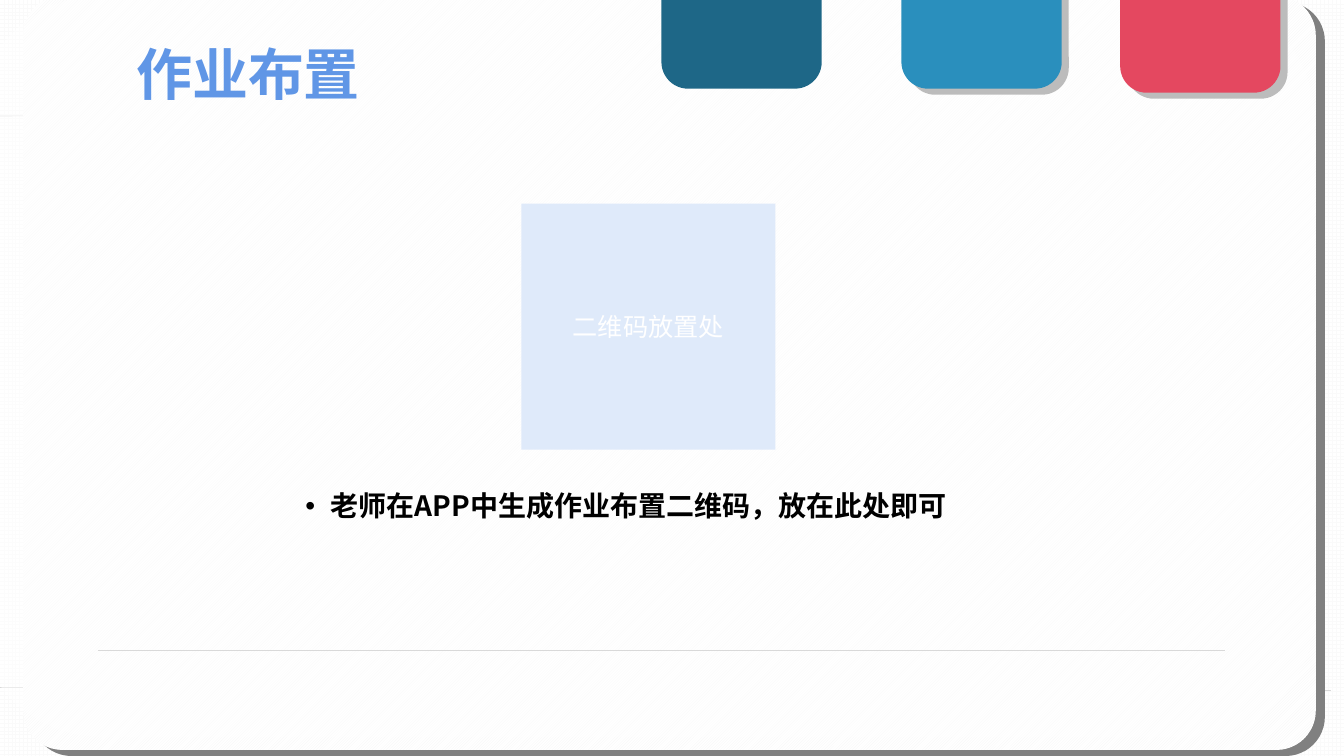
"""Build the homework assignment slide."""
from lxml.etree import SubElement
from pptx import Presentation
from pptx.dml.color import RGBColor
from pptx.enum.dml import MSO_PATTERN
from pptx.enum.shapes import MSO_CONNECTOR, MSO_SHAPE
from pptx.enum.text import MSO_ANCHOR, PP_ALIGN
from pptx.oxml.ns import qn
from pptx.util import Inches, Pt

FONT = "Noto Sans CJK SC"
HUES = {
    "white": "FFFFFF", "grid": "FAFAFA", "hatch": "F4F4F4", "rule": "D9D9D9",
    "edge": "808080", "shade": "BCBCBC", "teal": "1E6787", "blue": "2A8FBD",
    "red": "E44860", "pale": "DFEAFA", "title": "6096E6", "black": "000000",
}
TITLE = "作业布置"
HINT = "老师在APP中生成作业布置二维码，放在此处即可"
CODE = "二维码放置处"
BACK_RULES = [(0, 1.15, 4.53, 1.14), (0, 6.82, 13.2, 6.85)]
FOOT_RULE = (0.97, 6.45, 12.15, 6.45)
TABS = [(6.56, -0.87, "teal", False), (8.94, -0.87, "blue", True),
        (11.11, -0.83, "red", True)]
TAB_W, TAB_H = 1.59, 1.75


def rgb(hue):
    return RGBColor.from_string(HUES[hue])


def hatch(fill, kind, hue):
    fill.patterned()
    fill.pattern = kind
    fill.fore_color.rgb = rgb(hue)
    fill.back_color.rgb = rgb("white")


def block(slide, box, hue, kind=MSO_SHAPE.ROUNDED_RECTANGLE, adj=None):
    shape = slide.shapes.add_shape(kind, *map(Inches, box))
    shape.shadow.inherit = False
    shape.fill.solid()
    shape.fill.fore_color.rgb = rgb(hue)
    shape.line.fill.background()
    if adj is not None:
        shape.adjustments[0] = adj
    return shape


def rule(slide, ends):
    line = slide.shapes.add_connector(MSO_CONNECTOR.STRAIGHT, *map(Inches, ends))
    line.line.color.rgb = rgb("rule")
    line.line.width = Pt(0.5)
    SubElement(line._element.spPr, qn("a:effectLst"))


def write(shape, text, size, hue, bold=False, align=PP_ALIGN.LEFT, bullet=False):
    frame = shape.text_frame
    frame.word_wrap = True
    frame.vertical_anchor = MSO_ANCHOR.MIDDLE
    para = frame.paragraphs[0]
    para.text = text
    para.alignment = align
    if bullet:
        props = para._p.get_or_add_pPr()
        props.set("marL", str(Inches(0.25)))
        props.set("indent", str(-Inches(0.25)))
        para.line_spacing = 0.9
        SubElement(props, qn("a:buFont"), typeface="Arial")
        SubElement(props, qn("a:buChar"), char="•")
    font = para.font
    font.name, font.size, font.bold = FONT, Pt(size), bold
    font.color.rgb = rgb(hue)
    SubElement(font._element, qn("a:ea"), typeface=FONT)


def main():
    deck = Presentation()
    deck.slide_width, deck.slide_height = Inches(13.33), Inches(7.5)
    slide = deck.slides.add_slide(deck.slide_layouts[5])
    hatch(slide.background.fill, MSO_PATTERN.CROSS, "grid")

    for ends in BACK_RULES:
        rule(slide, ends)
    block(slide, (0.32, 0.02, 12.82, 7.48), "edge", adj=0.052)
    card = block(slide, (0.23, -0.04, 12.82, 7.48), "white", adj=0.052)
    hatch(card.fill, MSO_PATTERN.LIGHT_UPWARD_DIAGONAL, "hatch")
    veil = block(slide, (-0.23, -0.04, 13.27, 7.35), "white")
    tint = veil._element.spPr.find(qn("a:solidFill"))[0]
    SubElement(tint, qn("a:alpha"), val="49000")
    rule(slide, FOOT_RULE)

    for left, top, hue, raised in TABS:
        if raised:
            block(slide, (left + 0.07, top + 0.04, TAB_W, TAB_H + 0.02), "shade")
        block(slide, (left, top, TAB_W, TAB_H), hue)

    title = slide.shapes.title
    title.left, title.top, title.width, title.height = map(
        Inches, (1.22, 0.32, 6.32, 0.81))
    frame = title.text_frame
    frame.margin_left = frame.margin_right = Inches(0.13)
    frame.margin_top = frame.margin_bottom = Inches(0.07)
    write(title, TITLE, 40, "title", bold=True)
    slide.shapes._spTree.append(title._element)

    hint = slide.shapes.add_textbox(*map(Inches, (2.93, 4.85, 7.5, 0.37)))
    write(hint, HINT, 20, "black", bold=True, bullet=True)
    code = block(slide, (5.17, 2.02, 2.52, 2.44), "pale", MSO_SHAPE.RECTANGLE)
    write(code, CODE, 18, "white", align=PP_ALIGN.CENTER)
    deck.save("out.pptx")


if __name__ == "__main__":
    main()
